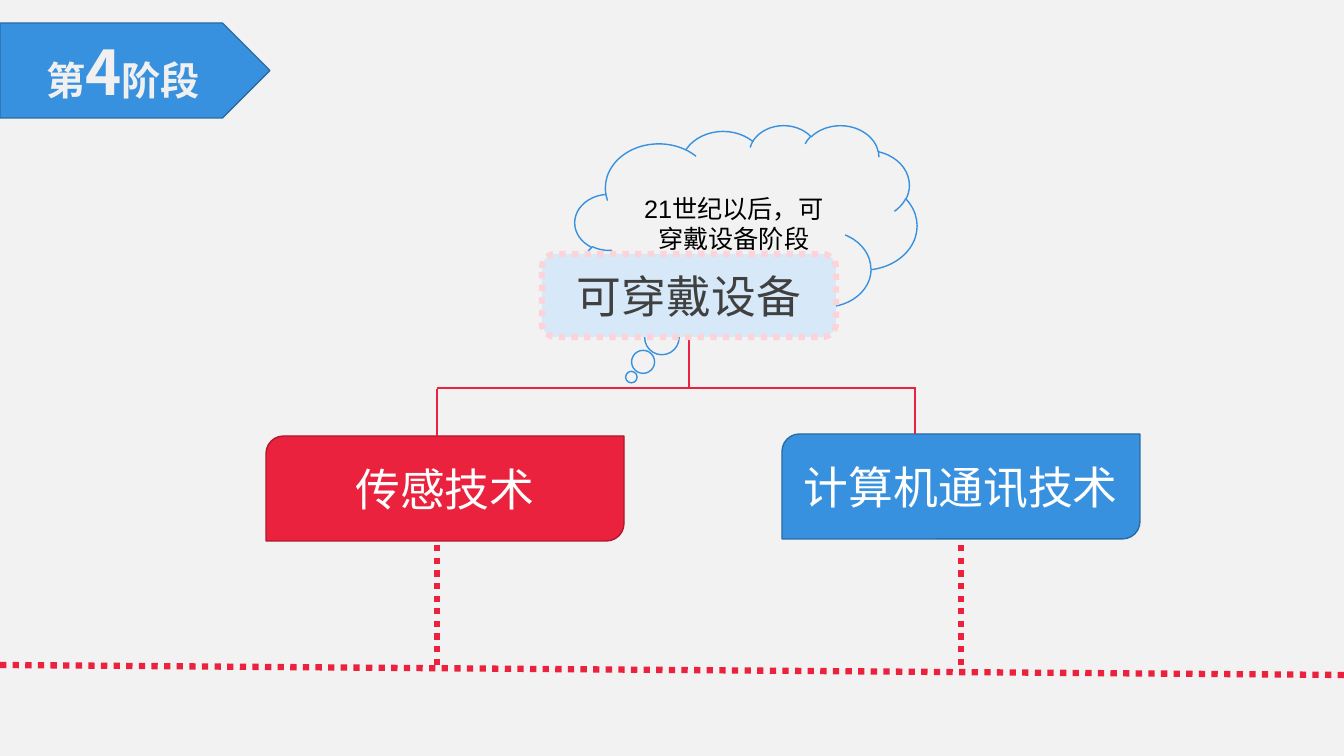
from lxml import etree
from pptx import Presentation
from pptx.dml.color import RGBColor
from pptx.enum.dml import MSO_LINE
from pptx.enum.shapes import MSO_CONNECTOR, MSO_SHAPE
from pptx.enum.text import MSO_ANCHOR, PP_ALIGN
from pptx.oxml.ns import qn
from pptx.util import Pt

PX = 914400 / 100.8
DOTTED = MSO_LINE.ROUND_DOT
STRAIGHT = MSO_CONNECTOR.STRAIGHT
PENTAGON = MSO_SHAPE.PENTAGON
CLOUD = MSO_SHAPE.CLOUD_CALLOUT
LEAF = MSO_SHAPE.ROUND_2_DIAG_RECTANGLE
ROUNDED = MSO_SHAPE.ROUNDED_RECTANGLE
CJK = "Noto Sans CJK JP"
RED, BLUE, DARK_BLUE = "EB223D", "3891DE", "296BA4"

presentation = Presentation()
presentation.slide_width = round(1344 * PX)
presentation.slide_height = round(756 * PX)
slide = presentation.slides.add_slide(presentation.slide_layouts[6])
slide.background.fill.solid()
slide.background.fill.fore_color.rgb = RGBColor.from_string("F2F2F2")


def add_line(ends, width, dash=None):
    connector = slide.shapes.add_connector(STRAIGHT, *[round(end * PX) for end in ends])
    connector.line.color.rgb = RGBColor.from_string(RED)
    connector.line.width = Pt(width)
    if dash is not None:
        connector.line.dash_style = dash
    etree.SubElement(connector._element.spPr, qn("a:effectLst"))


def add_label(kind, box, fill, outline, width, runs, font_name, color):
    shape = slide.shapes.add_shape(kind, *[round(length * PX) for length in box])
    shape.shadow.inherit = False
    if fill:
        shape.fill.solid()
        shape.fill.fore_color.rgb = RGBColor.from_string(fill)
    else:
        shape.fill.background()
    shape.line.color.rgb = RGBColor.from_string(outline)
    shape.line.width = Pt(width)
    shape.text_frame.word_wrap = True
    shape.text_frame.vertical_anchor = MSO_ANCHOR.MIDDLE
    paragraph = shape.text_frame.paragraphs[0]
    paragraph.alignment = PP_ALIGN.CENTER
    for text, size in runs:
        run = paragraph.add_run()
        run.text = text
        run.font.size = Pt(size)
        run.font.bold = kind == PENTAGON
        run.font.color.rgb = RGBColor.from_string(color)
        run.font.name = font_name
        if font_name == CJK:
            etree.SubElement(run.font._element, qn("a:ea"), typeface=CJK)
    return shape


for ends in [(0, 665, 1344, 675), (961, 665, 961, 541), (437, 665, 437, 541)]:
    add_line(ends, 4.5, DOTTED)

add_label(PENTAGON, (0, 23, 270, 95), BLUE, DARK_BLUE, 1,
          [("第", 28), ("4", 44), ("阶段", 28)], CJK, "F0F0F0")
cloud = add_label(CLOUD, (575, 125, 342, 207), None, BLUE, 1,
                  [("21世纪以后，可穿戴设备阶段", 18)], "Arial", "000000")
cloud.adjustments[0] = -0.335
cloud.adjustments[1] = 0.718

branches = [
    ("传感技术", 266, 436, RED, "AE192D"),
    ("计算机通讯技术", 782, 434, BLUE, DARK_BLUE),
]
for text, left, top, fill, outline in branches:
    add_label(LEAF, (left, top, 358, 105), fill, outline, 1, [(text, 32)], CJK, "FFFFFF")

for ends in [(437, 389, 437, 436), (437, 388, 916, 388),
             (915, 387, 915, 434), (689, 340, 689, 387)]:
    add_line(ends, 1.5)

device = add_label(ROUNDED, (542, 254, 294, 83), "D7E9F8", "FBD3D8", 4.5,
                   [("可穿戴设备", 32)], CJK, "404040")
device.line.dash_style = DOTTED

presentation.save("out.pptx")
